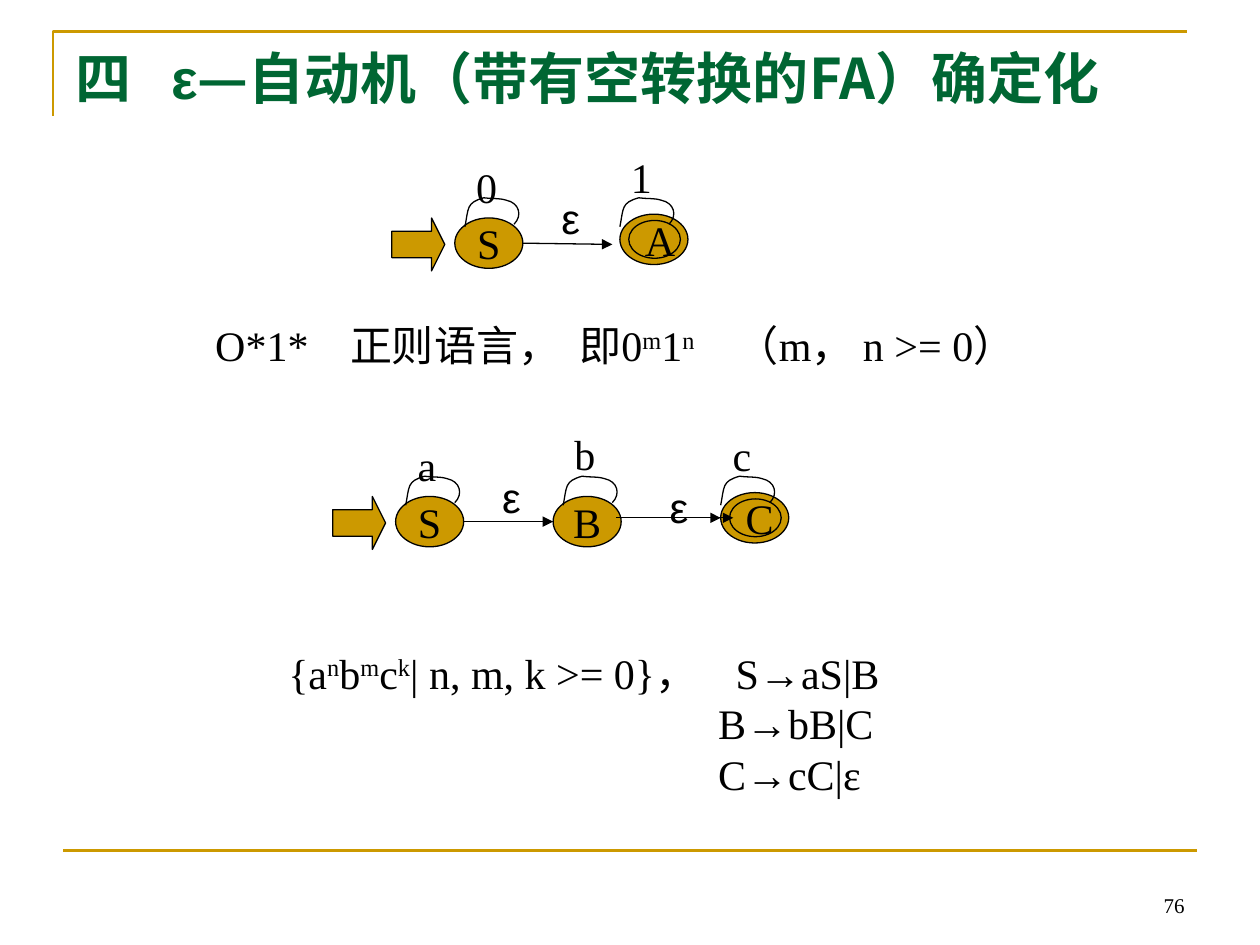
import pptx
import pptx.util
import pptx.dml.color
import pptx.enum.shapes
import pptx.enum.text
import pptx.oxml
import pptx.oxml.ns
from pptx.util import Inches

GOLD = pptx.dml.color.RGBColor(0xCC, 0x99, 0x00)
GREEN = pptx.dml.color.RGBColor(0x00, 0x66, 0x33)
BLACK = pptx.dml.color.RGBColor(0x00, 0x00, 0x00)
SERIF, SANS, CJK = "Times New Roman", "Arial", "Noto Sans CJK SC"
SHAPES = pptx.enum.shapes.MSO_SHAPE
ALIGN = pptx.enum.text.PP_ALIGN
ANCHOR = pptx.enum.text.MSO_ANCHOR
STATE_W, STATE_H = 0.54, 0.4

# Self-loop, relative to its left top corner: start, then three points per Bezier curve
LOOP_POINTS = [
    (0, 0.23),
    (0.03, 0.08), (0.01, 0.04), (0.15, 0),
    (0.21, 0.01), (0.27, 0), (0.33, 0.02),
    (0.43, 0.04), (0.46, 0.14), (0.39, 0.21),
]


def add_xml(parent, tag, **attributes):
    element = pptx.oxml.parse_xml(f"<a:{tag} {pptx.oxml.ns.nsdecls('a')}/>")
    for name, value in attributes.items():
        element.set(name, str(value))
    parent.append(element)
    return element


def style_run(run, size=24, font=SERIF, color=BLACK, bold=None, raised=False):
    run.font.size = pptx.util.Pt(size)
    run.font.name = font
    run.font.color.rgb = color
    run.font.bold = bold
    properties = run.font._element
    add_xml(properties, "ea", typeface=CJK)
    if raised:
        properties.set("baseline", "30000")


def style_outline(shape, color=BLACK, width=0.75):
    shape.line.color.rgb = color
    shape.line.width = pptx.util.Pt(width)


def add_text(slide, x, y, w, h, lines, tabs=(), indent=0, align=ALIGN.LEFT,
             anchor=ANCHOR.TOP, wrap=True, **style):
    """Each line is a list of (text, style changes); later lines are indented."""
    box = slide.shapes.add_textbox(Inches(x), Inches(y), Inches(w), Inches(h))
    frame = box.text_frame
    frame.word_wrap = wrap
    frame.vertical_anchor = anchor
    for number, line in enumerate(lines):
        paragraph = frame.add_paragraph() if number else frame.paragraphs[0]
        paragraph.alignment = align
        properties = paragraph._p.get_or_add_pPr()
        if number and indent:
            properties.set("marL", str(Inches(indent)))
        if tabs and not number:
            tab_list = add_xml(properties, "tabLst")
            for stop in tabs:
                add_xml(tab_list, "tab", pos=Inches(stop), algn="l")
        for text, changes in line:
            run = paragraph.add_run()
            run.text = text
            style_run(run, **{**style, **changes})


def add_label(slide, center_x, center_y, text, font=SERIF):
    add_text(slide, center_x - 0.18, center_y - 0.25, 0.36, 0.5, [[(text, {})]],
             align=ALIGN.CENTER, anchor=ANCHOR.MIDDLE, wrap=False, font=font)


def add_gold_shape(slide, kind, x, y, w, h):
    shape = slide.shapes.add_shape(kind, Inches(x), Inches(y), Inches(w), Inches(h))
    shape.shadow.inherit = False
    shape.fill.solid()
    shape.fill.fore_color.rgb = GOLD
    style_outline(shape)
    return shape


def add_line(slide, start, end, color=BLACK, width=0.75, arrow=False):
    line = slide.shapes.add_connector(
        pptx.enum.shapes.MSO_CONNECTOR.STRAIGHT,
        *(Inches(value) for value in (*start, *end)))
    style_outline(line, color, width)
    if arrow:
        add_xml(line.line._get_or_add_ln(), "tailEnd", type="triangle")
    add_xml(line._element.spPr, "effectLst")


def add_outline(slide, points, color=BLACK, width=0.75):
    corners = [(Inches(x), Inches(y)) for x, y in points]
    builder = slide.shapes.build_freeform(*corners[0])
    builder.add_line_segments(corners[1:], close=False)
    outline = builder.convert_to_shape()
    outline.shadow.inherit = False
    outline.fill.background()
    style_outline(outline, color, width)
    return outline


def add_loop(slide, x, y):
    loop = add_outline(slide, [(x + px, y + py) for px, py in LOOP_POINTS])
    # Turn each three line segments into one Bezier curve
    segments = loop._element.xpath(".//a:lnTo")
    drawing = segments[0].getparent()
    for first in range(0, len(segments), 3):
        curve = add_xml(drawing, "cubicBezTo")
        for segment in segments[first:first + 3]:
            curve.append(segment[0])
            drawing.remove(segment)


def add_state(slide, x, y, letter):
    state = add_gold_shape(slide, SHAPES.OVAL, x, y, STATE_W, STATE_H)
    frame = state.text_frame
    frame.text = letter
    frame.word_wrap = False
    frame.vertical_anchor = ANCHOR.MIDDLE
    frame.paragraphs[0].alignment = ALIGN.CENTER
    style_run(frame.paragraphs[0].runs[0])
    add_loop(slide, x + 0.08, y - 0.16)


def add_start_state(slide, x, y, letter, symbol):
    arrow = add_gold_shape(slide, SHAPES.RIGHT_ARROW, x - 0.5, y, 0.42, 0.42)
    arrow.adjustments[0] = 0.5
    arrow.adjustments[1] = 0.25
    add_state(slide, x, y, letter)
    add_label(slide, x + 0.25, y - 0.25, symbol)


def add_final_state(slide, x, y, letter, symbol):
    add_gold_shape(slide, SHAPES.OVAL, x, y, STATE_W, STATE_H)
    add_gold_shape(slide, SHAPES.OVAL, x + 0.07, y + 0.05, 0.41, 0.3)
    add_label(slide, x + 0.28, y + 0.2, letter)
    add_loop(slide, x, y - 0.13)
    add_label(slide, x + 0.17, y - 0.3, symbol)


def main():
    presentation = pptx.Presentation()
    presentation.slide_width = Inches(10)
    presentation.slide_height = Inches(7.5)
    slide = presentation.slides.add_slide(presentation.slide_layouts[6])

    # Frame lines and title
    add_outline(slide, [(0.42, 0.92), (0.42, 0.25), (9.42, 0.25)], GOLD, 1.5)
    add_line(slide, (0.5, 6.75), (9.5, 6.75), GOLD, 1.5)
    add_text(slide, 0.5, 0.3, 8.91, 0.93,
             [[("四\t", {}), ("ε", {"font": SANS}), ("—自动机（带有空转换的FA）确定化", {})]],
             tabs=[0.76], size=32, font=CJK, color=GREEN, bold=True)

    # Automaton for 0*1*
    add_start_state(slide, 3.61, 1.73, "S", "0")
    add_line(slide, (4.15, 1.93), (4.86, 1.94), arrow=True)
    add_label(slide, 4.53, 1.73, "ε", SANS)
    add_final_state(slide, 4.92, 1.7, "A", "1")

    # Automaton for a*b*c*
    add_start_state(slide, 3.14, 3.94, "S", "a")
    add_state(slide, 4.39, 3.94, "B")
    add_label(slide, 4.64, 3.6, "b")
    add_line(slide, (3.68, 4.14), (4.39, 4.14), arrow=True)
    add_label(slide, 4.06, 3.94, "ε", SANS)
    add_label(slide, 5.39, 4.02, "ε", SANS)
    add_final_state(slide, 5.72, 3.91, "C", "c")
    for start_x, end_x in ((4.97, 5.72), (4.89, 5.82)):
        add_line(slide, (start_x, 4.11), (end_x, 4.11), arrow=True)

    # Languages and grammar
    raised, sans = {"raised": True}, {"font": SANS}
    add_text(slide, 1.61, 2.49, 6.87, 0.5,
             [[("O*1*\t正则语言，\t即0", {}), ("m", raised), ("1", {}), ("n", raised),
               ("\t（m， n >= 0）", {})]],
             tabs=[1.07, 2.89, 4.14])
    add_text(slide, 2.19, 5.09, 4.95, 1.3,
             [[("{a", {}), ("n", raised), ("b", {}), ("m", raised), ("c", {}), ("k", raised),
               ("| n, m, k >= 0}，\tS", {}), ("→", sans), ("aS|B", {})],
              [("B", {}), ("→", sans), ("bB|C", {})],
              [("C", {}), ("→", sans), ("cC|ε", {})]],
             tabs=[3.55], indent=3.41)

    # Page number
    add_text(slide, 7.17, 6.83, 2.33, 0.5, [[("76", {})]],
             align=ALIGN.RIGHT, anchor=ANCHOR.BOTTOM, size=12)

    presentation.save("out.pptx")


if __name__ == "__main__":
    main()
